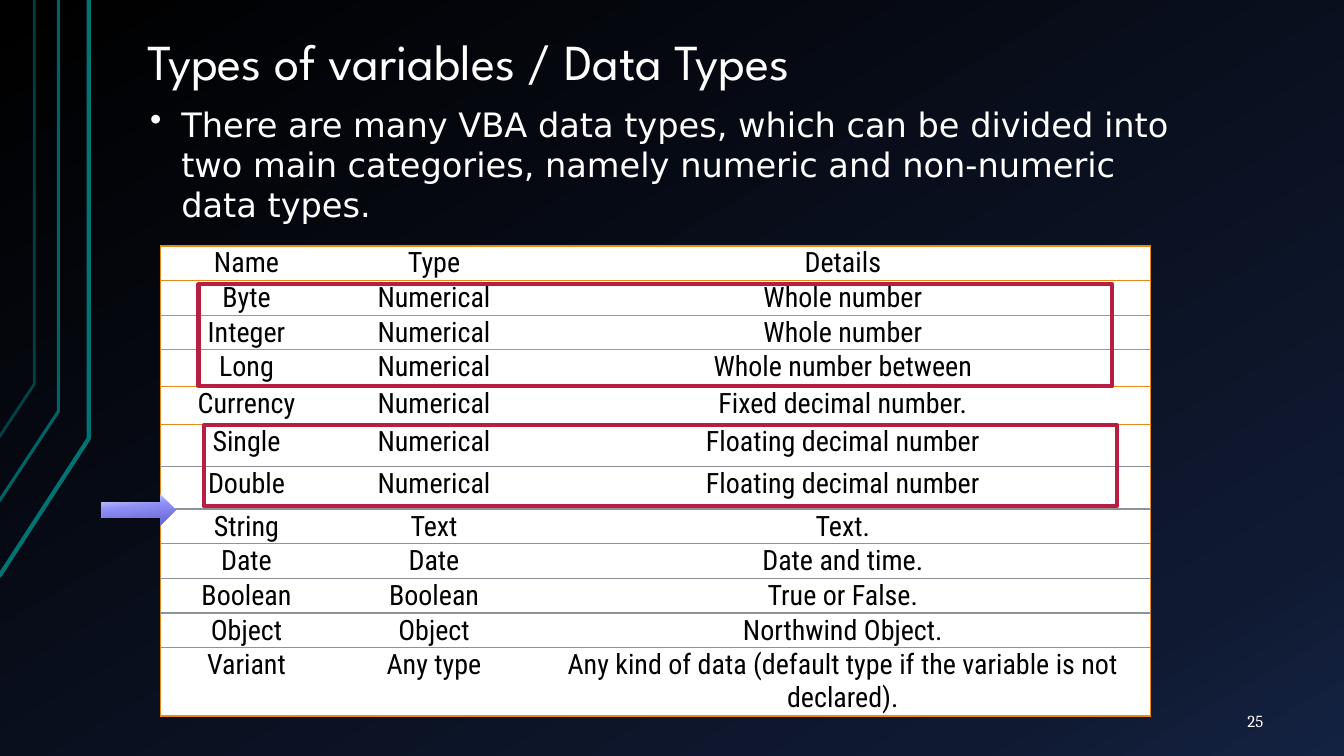
from dataclasses import dataclass
from lxml import etree
from pptx import Presentation
from pptx.dml.color import RGBColor
from pptx.enum.shapes import MSO_SHAPE
from pptx.enum.text import MSO_ANCHOR, PP_ALIGN
from pptx.oxml.ns import qn
from pptx.util import Inches, Pt

RECT, ARROW = MSO_SHAPE.RECTANGLE, MSO_SHAPE.RIGHT_ARROW
TOP, MIDDLE = MSO_ANCHOR.TOP, MSO_ANCHOR.MIDDLE
LEFT, CENTER, RIGHT = PP_ALIGN.LEFT, PP_ALIGN.CENTER, PP_ALIGN.RIGHT
PLAIN = "{2D5ABB26-0587-4C30-8999-92F81FD0307C}"


@dataclass(frozen=True)
class Theme:
    white: str = "FFFFFF"
    black: str = "000000"
    teal: str = "007373"
    red: str = "B71E42"
    orange: str = "E98915"
    gray: str = "8C9298"
    night: tuple = ((0, "000000"), (85, "0F1931"), (100, "142242"))
    violet: tuple = ((0, "DFDFF7"), (40, "8E8EF7"), (100, "6363C9"))
    title: tuple = ("League Spartan", 36)
    body: tuple = ("DejaVu Sans", 24)
    cell: tuple = ("Roboto Condensed", 20)
    number: tuple = ("Cambria", 12)


THEME = Theme()
COLS = (1.71, 2.01, 6.1)
ROWS = (
    (0.28, "Name", "Type", "Details"),
    (0.28, "Byte", "Numerical", "Whole number"),
    (0.28, "Integer", "Numerical", "Whole number"),
    (0.36, "Long", "Numerical", "Whole number between"),
    (0.38, "Currency", "Numerical", "Fixed decimal number."),
    (0.42, "Single", "Numerical", "Floating decimal number"),
    (0.42, "Double", "Numerical", "Floating decimal number"),
    (0.28, "String", "Text", "Text."),
    (0.28, "Date", "Date", "Date and time."),
    (0.28, "Boolean", "Boolean", "True or False."),
    (0.32, "Object", "Object", "Northwind Object."),
    (0.39, "Variant", "Any type",
     "Any kind of data (default type if the variable is not declared)."),
)
GRAY_FROM = 5  # first row with a gray lower rule


def rgb(code):
    return RGBColor.from_string(code)


def inches(box):
    return [Inches(n) for n in box]


def style(para, face, color, align=LEFT):
    para.alignment = align
    para.font.name, para.font.size = face[0], Pt(face[1])
    para.font.color.rgb = rgb(color)


def blend(fill, root, stops, angle):
    """Fill with a gradient running clockwise at the angle."""
    fill.gradient()
    fill.gradient_angle = 360 - angle
    group = next(root.iter(qn("a:gsLst")))
    for old in list(group):
        group.remove(old)
    for place, code in stops:
        stop = etree.SubElement(group, qn("a:gs"), pos=str(place * 1000))
        etree.SubElement(stop, qn("a:srgbClr"), val=code)


def add_text(slide, box, text, face, anchor=TOP, align=LEFT, inset=(0.13, 0.07)):
    frame = slide.shapes.add_textbox(*inches(box)).text_frame
    frame.word_wrap, frame.vertical_anchor = True, anchor
    frame.margin_left = frame.margin_right = Inches(inset[0])
    frame.margin_top = frame.margin_bottom = Inches(inset[1])
    para = frame.paragraphs[0]
    para.text = text
    style(para, face, THEME.white, align)
    return para


def add_rails(slide, box):
    """Three bent teal lines along the left edge."""
    left, top = box
    rails = (((-0.01, 5.72), (0.88, 4.35), 3, 100),
             ((-0.02, 4.99), (0.58, 4.08), 2.25, 85),
             ((-0.01, 4.34), (0.34, 3.81), 2, 55))
    for foot, bend, width, alpha in rails:
        points = [(Inches(left + x), Inches(top + y))
                  for x, y in (foot, bend, (bend[0], 0))]
        build = slide.shapes.build_freeform(*points[0], scale=1.0)
        build.add_line_segments(points[1:], close=False)
        rail = build.convert_to_shape()
        rail.shadow.inherit = False
        rail.fill.background()
        rail.line.color.rgb = rgb(THEME.teal)
        rail.line.width = Pt(width)
        tint = next(rail.line._ln.iter(qn("a:srgbClr")))
        etree.SubElement(tint, qn("a:alpha"), val=str(alpha * 1000))


def add_bullet(slide, box, text):
    para = add_text(slide, box, text, THEME.body, inset=(0.1, 0.05))
    props = para._p.get_or_add_pPr()
    props.set("marL", str(Inches(0.31)))
    props.set("indent", str(-Inches(0.31)))
    mark = etree.Element(qn("a:buChar"), char="•")
    props.insert_element_before(mark, "a:tabLst", "a:defRPr", "a:extLst")


def add_edges(cell, edges):
    """Draw cell borders, given as side and colour in schema order."""
    props = cell._tc.get_or_add_tcPr()
    for spot, (side, code) in enumerate(edges):
        line = etree.Element(qn("a:ln" + side), w=str(Pt(1)))
        if code:
            paint = etree.SubElement(line, qn("a:solidFill"))
            etree.SubElement(paint, qn("a:srgbClr"), val=code)
        else:
            etree.SubElement(line, qn("a:noFill"))
        props.insert(spot, line)


def add_grid(slide, box):
    """Table of data types."""
    table = slide.shapes.add_table(len(ROWS), len(COLS), *inches(box)).table
    table.first_row = table.horz_banding = False
    next(table._tbl.iter(qn("a:tableStyleId"))).text = PLAIN
    for col, width in zip(table.columns, COLS):
        col.width = Inches(width)
    last = len(ROWS) - 1

    def rule(row):
        return THEME.gray if GRAY_FROM <= row < last else THEME.orange

    for i, (height, *words) in enumerate(ROWS):
        table.rows[i].height = Inches(height)
        for j, word in enumerate(words):
            cell = table.cell(i, j)
            cell.margin_left = cell.margin_right = cell.margin_top = Inches(0.01)
            cell.margin_bottom = 0
            cell.fill.solid()
            cell.fill.fore_color.rgb = rgb(THEME.white)
            cell.text = word
            style(cell.text_frame.paragraphs[0], THEME.cell, THEME.black, CENTER)
            add_edges(cell, (("L", None if j else THEME.orange),
                             ("R", THEME.orange if j == len(COLS) - 1 else None),
                             ("T", rule(i - 1)), ("B", rule(i))))


def add_frame(slide, box):
    """Red outline round a group of rows."""
    frame = slide.shapes.add_shape(RECT, *inches(box))
    frame.shadow.inherit = False
    frame.fill.background()
    frame.line.color.rgb = rgb(THEME.red)
    frame.line.width = Pt(3)


def add_arrow(slide, box):
    arrow = slide.shapes.add_shape(ARROW, *inches(box))
    arrow.shadow.inherit = False
    blend(arrow.fill, arrow.element, THEME.violet, 84)
    arrow.line.fill.background()


def main():
    deck = Presentation()
    deck.slide_width, deck.slide_height = Inches(13.33), Inches(7.5)
    slide = deck.slides.add_slide(deck.slide_layouts[6])

    # Backdrop
    blend(slide.background.fill, slide.element, THEME.night, 60)
    add_rails(slide, (0, 0))

    # Title and page number
    title = add_text(slide, (1.33, 0.3, 11.33, 1.34),
                     "Types of variables / Data Types", THEME.title)
    title.line_spacing = 0.9
    add_text(slide, (11.55, 6.95, 1.11, 0.4), "25", THEME.number, MIDDLE, RIGHT)

    # Table with its marks
    add_grid(slide, (1.59, 2.44, 9.82, 4.36))
    add_frame(slide, (1.97, 2.82, 9.06, 1.01))
    add_arrow(slide, (1.01, 4.91, 0.73, 0.3))
    add_frame(slide, (2.02, 4.22, 9.06, 0.8))

    # Lead text
    add_bullet(slide, (1.39, 0.98, 10.5, 1.31),
               "There are many VBA data types, which can be divided into two main "
               "categories, namely numeric and non-numeric data types.")
    deck.save("out.pptx")


if __name__ == "__main__":
    main()
